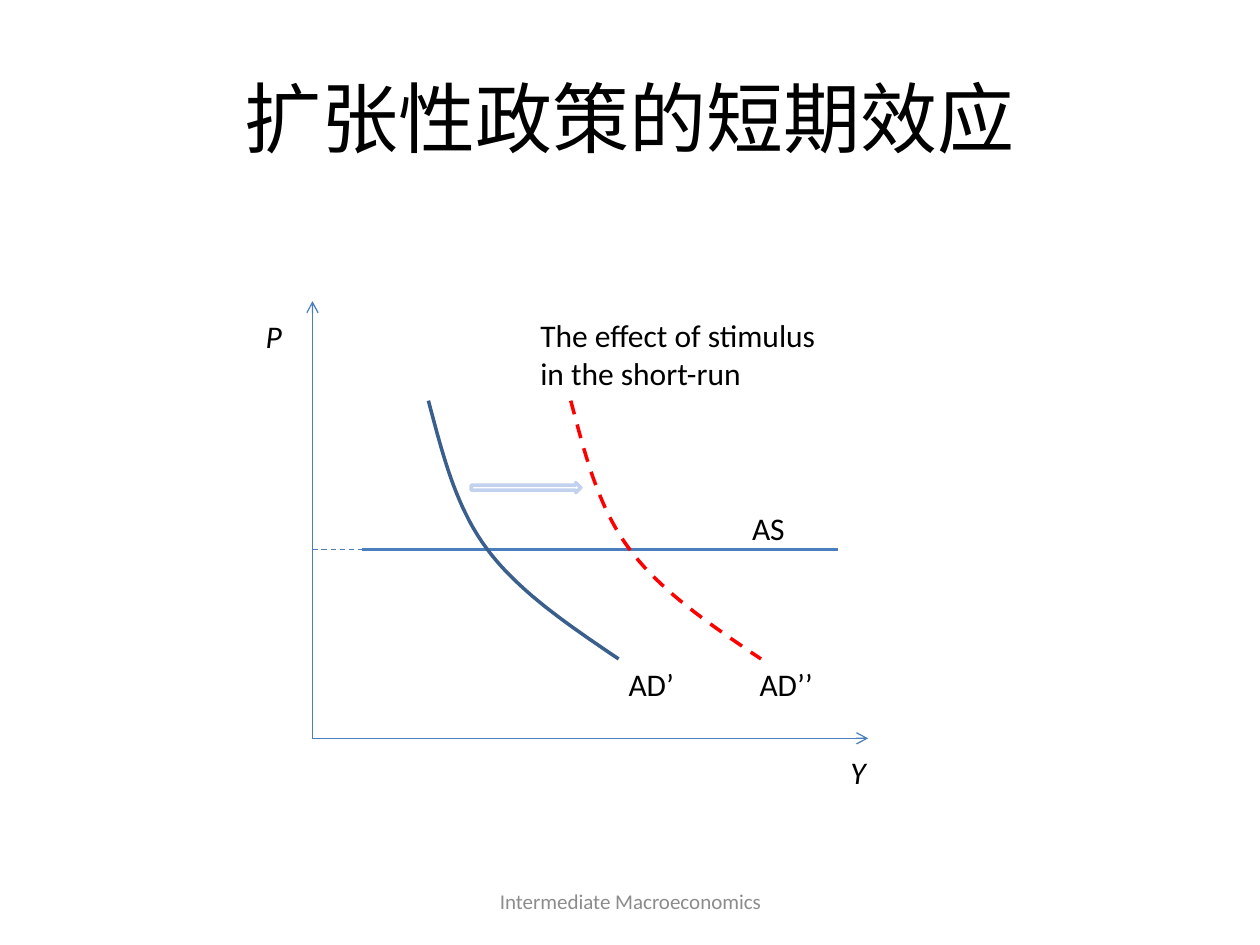
from lxml.etree import SubElement
from pptx import Presentation
from pptx.dml.color import RGBColor
from pptx.enum.dml import MSO_LINE
from pptx.enum.shapes import MSO_CONNECTOR, MSO_SHAPE
from pptx.enum.text import MSO_ANCHOR, PP_ALIGN
from pptx.oxml.ns import qn
from pptx.util import Inches, Pt

COLORS = {
    "text": "000000",
    "footer": "8C8C8C",
    "axis": "4B7EBC",
    "demand": "3A5F8C",
    "shifted": "FF0000",
    "shift_arrow": "C2D1ED",
}

presentation = Presentation()
presentation.slide_width = Inches(10)
presentation.slide_height = Inches(7.5)
slide = presentation.slides.add_slide(presentation.slide_layouts[6])
shapes = slide.shapes


def add_text(text, left, top, width, height, size=18, color="text",
             italic=False, align=PP_ALIGN.LEFT, anchor=MSO_ANCHOR.TOP):
    box = shapes.add_textbox(Inches(left), Inches(top), Inches(width), Inches(height))
    frame = box.text_frame
    frame.word_wrap = True
    frame.vertical_anchor = anchor
    paragraph = frame.paragraphs[0]
    paragraph.alignment = align
    run = paragraph.add_run()
    run.text = text
    run.font.name = "Calibri"
    run.font.size = Pt(size)
    run.font.italic = italic
    run.font.color.rgb = RGBColor.from_string(COLORS[color])


def style_line(line, color, width, dashed=False):
    line.color.rgb = RGBColor.from_string(COLORS[color])
    line.width = Pt(width)
    if dashed:
        line.dash_style = MSO_LINE.DASH


add_text("扩张性政策的短期效应", 0.5, 0.3, 9, 1.25, size=44,
         align=PP_ALIGN.CENTER, anchor=MSO_ANCHOR.MIDDLE)
add_text("Intermediate Macroeconomics", 3.42, 6.95, 3.17, 0.4, size=12,
         color="footer", align=PP_ALIGN.CENTER, anchor=MSO_ANCHOR.MIDDLE)

origin_x, origin_y = 2.48, 5.86
supply_x, supply_y = 2.87, 4.36
for start, end, width, dashed, arrow in [
    ((origin_x, origin_y), (6.89, origin_y), 0.75, False, True),
    ((origin_x, origin_y), (origin_x, 2.39), 0.75, False, True),
    ((supply_x, supply_y), (6.65, supply_y), 2, False, False),
    ((origin_x, supply_y), (supply_x, supply_y), 0.75, True, False),
]:
    segment = shapes.add_connector(
        MSO_CONNECTOR.STRAIGHT, *[Inches(value) for value in start + end])
    style_line(segment.line, "axis", width, dashed)
    if arrow:
        SubElement(segment.line._get_or_add_ln(), qn("a:tailEnd"), type="arrow")
    SubElement(segment._element.spPr, qn("a:effectLst"))

demand_pieces = [
    [(0, 0), (0.11, 0.41), (0.21, 0.83), (0.46, 1.17)],
    [(0.46, 1.17), (0.71, 1.51), (1.11, 1.78), (1.51, 2.05)],
]
steps = 20
demand_points = [demand_pieces[0][0]]
for piece in demand_pieces:
    for step in range(1, steps + 1):
        t = step / steps
        weights = [(1 - t) ** 3, 3 * t * (1 - t) ** 2, 3 * t ** 2 * (1 - t), t ** 3]
        demand_points.append(tuple(
            sum(weight * point[axis] for weight, point in zip(weights, piece))
            for axis in (0, 1)))

for left, color, dashed in [(3.4, "demand", False), (4.53, "shifted", True)]:
    points = [(Inches(left + x), Inches(3.18 + y)) for x, y in demand_points]
    builder = shapes.build_freeform(*points[0])
    builder.add_line_segments(points[1:], close=False)
    curve = builder.convert_to_shape()
    curve.shadow.inherit = False
    curve.fill.background()
    style_line(curve.line, color, 2, dashed)

shift_arrow = shapes.add_shape(
    MSO_SHAPE.RIGHT_ARROW, Inches(3.74), Inches(3.83), Inches(0.87), Inches(0.08))
shift_arrow.shadow.inherit = False
shift_arrow.fill.background()
style_line(shift_arrow.line, "shift_arrow", 2)

for label, left, top, width, height, italic in [
    ("P", 2.01, 2.47, 0.47, 0.4, True),
    ("Y", 6.65, 5.93, 0.47, 0.4, True),
    ("The effect of stimulus in the short-run", 4.19, 2.46, 2.6, 0.71, False),
    ("AS", 5.87, 3.99, 0.79, 0.4, False),
    ("AD’", 4.89, 5.23, 0.74, 0.4, False),
    ("AD’’", 5.93, 5.23, 0.74, 0.4, False),
]:
    add_text(label, left, top, width, height, italic=italic)

presentation.save("out.pptx")
